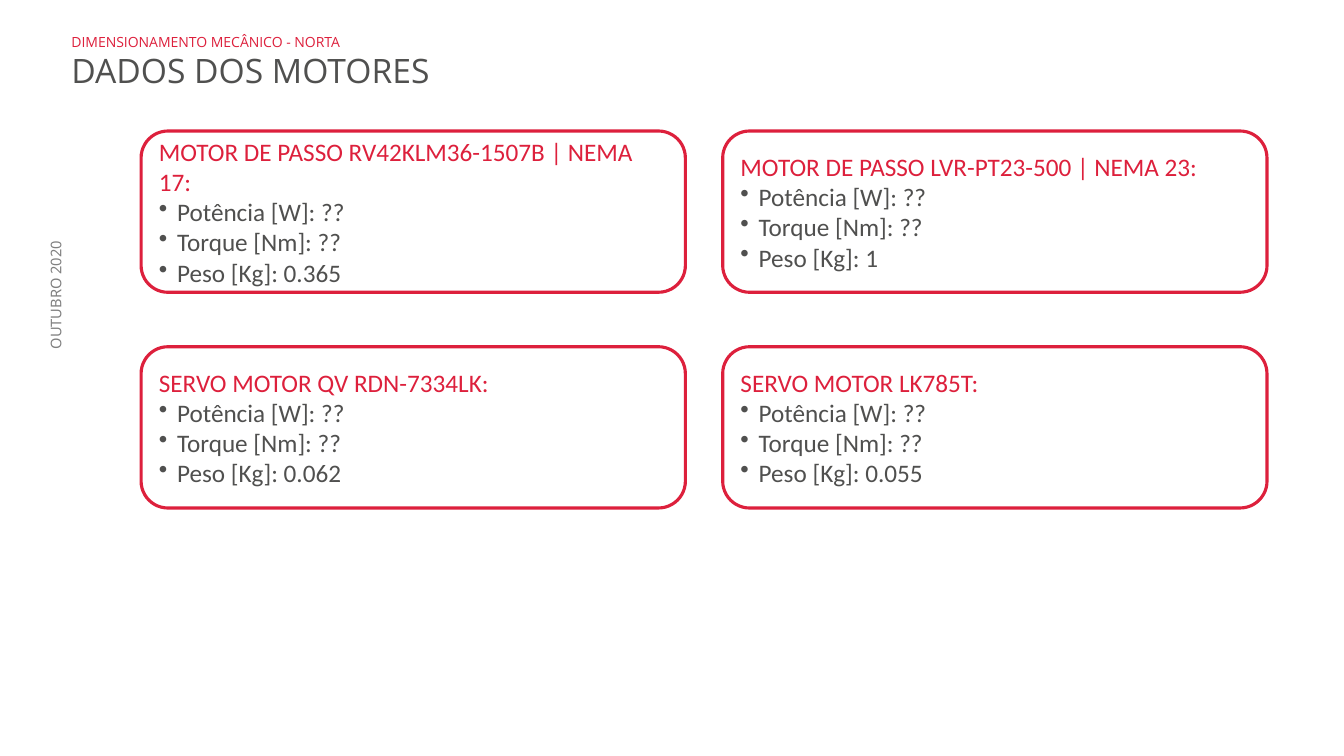
from lxml import etree
from pptx import Presentation
from pptx.dml.color import RGBColor
from pptx.enum.shapes import MSO_SHAPE
from pptx.enum.text import MSO_ANCHOR, MSO_AUTO_SIZE, PP_ALIGN
from pptx.oxml.ns import qn
from pptx.util import Pt

ROUND = MSO_SHAPE.ROUNDED_RECTANGLE
MIDDLE = MSO_ANCHOR.MIDDLE
GROW = MSO_AUTO_SIZE.SHAPE_TO_FIT_TEXT
LEFT, RIGHT = PP_ALIGN.LEFT, PP_ALIGN.RIGHT

COLORS = {"red": "DD203C", "dark": "50504F", "gray": "808080", "white": "FFFFFF"}

MOTORS = [
    ("MOTOR DE PASSO RV42KLM36-1507B | NEMA 17:", "0.365"),
    ("MOTOR DE PASSO LVR-PT23-500 | NEMA 23:", "1"),
    ("SERVO MOTOR QV RDN-7334LK:", "0.062"),
    ("SERVO MOTOR LK785T:", "0.055"),
]


class Deck:
    """Draws styled elements on the current slide, with lengths in points."""

    def __init__(self, slide):
        self.slide = slide
        self.head = "Open Sans"
        self.side = "Noto Sans"
        self.body = "Calibri"

    def color(self, name):
        return RGBColor.from_string(COLORS[name])

    def line(self, para, text, size, font, color, align=LEFT):
        para.text = text
        para.alignment = align
        for run in para.runs:
            run.font.size = Pt(size)
            run.font.name = font
            run.font.color.rgb = self.color(color)

    def bullet(self, para, indent=13):
        props = para._p.get_or_add_pPr()
        props.set("marL", str(Pt(indent)))
        props.set("indent", str(-Pt(indent)))
        etree.SubElement(props, qn("a:buChar")).set("char", "•")

    def box(self, x, y, w, h):
        shape = self.slide.shapes.add_textbox(Pt(x), Pt(y), Pt(w), Pt(h))
        shape.text_frame.word_wrap = True
        return shape

    def label(self, text, x, y, w, h):
        shape = self.box(x, y, w, h)
        shape.rotation = 270
        frame = shape.text_frame
        frame.vertical_anchor = MIDDLE
        self.line(frame.paragraphs[0], text, 10.5, self.side, "gray", RIGHT)

    def title(self, over, text, x, y, w, h):
        frame = self.box(x, y, w, h).text_frame
        frame.auto_size = GROW
        self.line(frame.paragraphs[0], over, 10, self.head, "red")
        self.line(frame.add_paragraph(), text, 24, self.head, "dark")

    def card(self, name, items, x, y, w, h):
        shape = self.slide.shapes.add_shape(ROUND, Pt(x), Pt(y), Pt(w), Pt(h))
        shape.shadow.inherit = False
        shape.fill.solid()
        shape.fill.fore_color.rgb = self.color("white")
        shape.line.color.rgb = self.color("red")
        shape.line.width = Pt(2.25)
        frame = shape.text_frame
        frame.word_wrap = True
        frame.vertical_anchor = MIDDLE
        self.line(frame.paragraphs[0], name, 18, self.body, "red")
        for item in items:
            para = frame.add_paragraph()
            self.line(para, item, 18, self.body, "dark")
            self.bullet(para)


def main():
    prs = Presentation()
    prs.slide_width, prs.slide_height = Pt(960), Pt(540)
    deck = Deck(prs.slides.add_slide(prs.slide_layouts[6]))
    deck.label("OUTUBRO 2020", -14.4, 210.24, 108, 18)
    deck.title("DIMENSIONAMENTO MECÂNICO - NORTA", "DADOS DOS MOTORES",
               43.92, 20.16, 633.6, 49.68)
    for i, (name, mass) in enumerate(MOTORS):
        row, col = divmod(i, 2)
        items = ["Potência [W]: ??", "Torque [Nm]: ??", f"Peso [Kg]: {mass}"]
        deck.card(name, items, 100.8 + col * 415.44, 93.6 + row * 154.08, 388.8, 115.2)
    prs.save("out.pptx")


if __name__ == "__main__":
    main()
